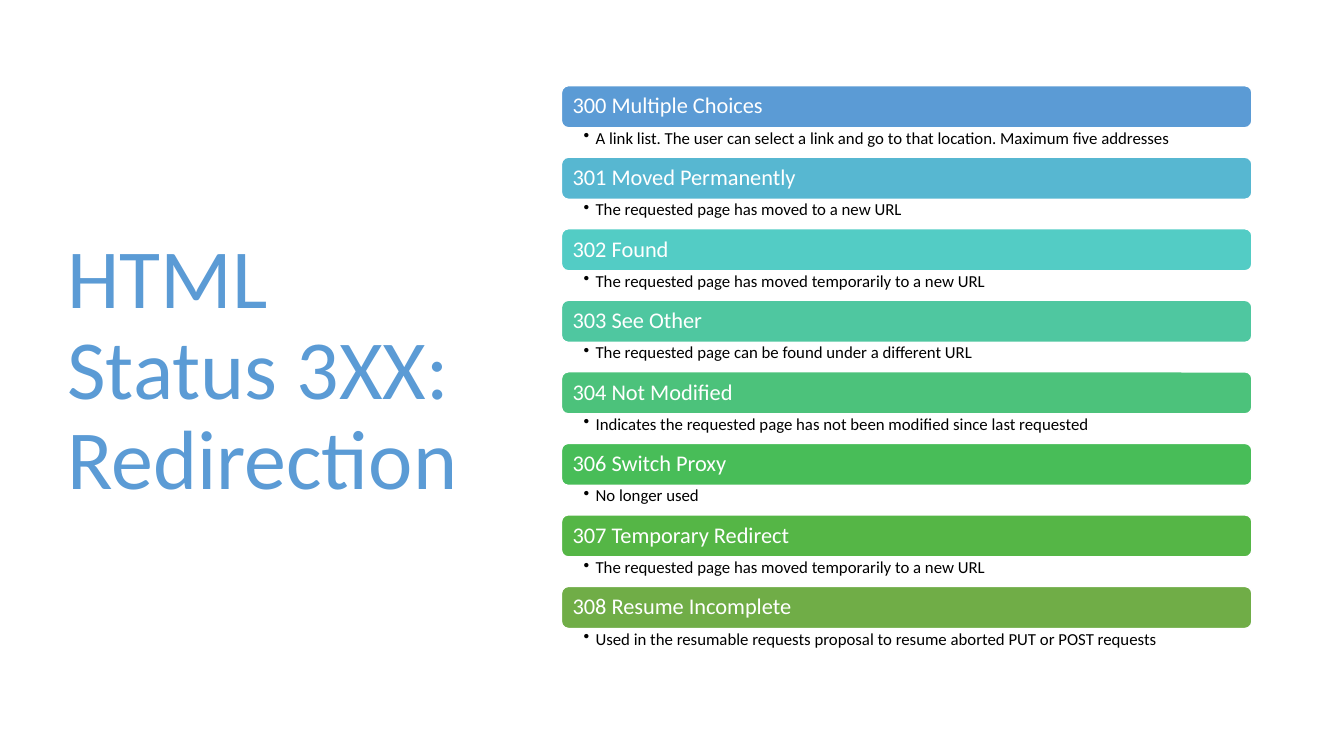
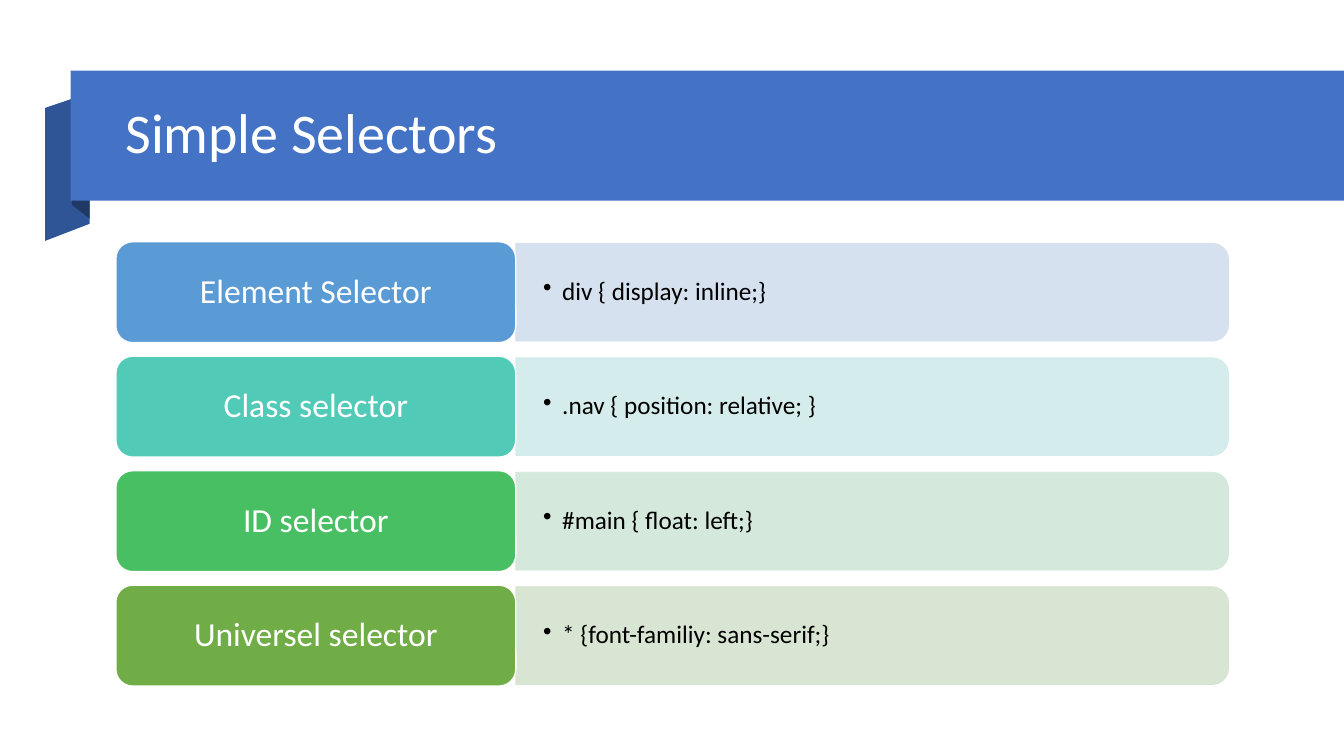
from pptx import Presentation
from pptx.dml.color import RGBColor
from pptx.enum.shapes import MSO_SHAPE
from pptx.enum.text import MSO_ANCHOR, PP_ALIGN
from pptx.oxml.ns import qn
from pptx.util import Cm, Pt
from lxml import etree

FONT = "Calibri"
WHITE = RGBColor(0xFF, 0xFF, 0xFF)
BLACK = RGBColor(0x00, 0x00, 0x00)
SKY = RGBColor(0x5B, 0x9B, 0xD5)
BLUE = RGBColor(0x44, 0x72, 0xC4)
FOLD = RGBColor(0x2F, 0x55, 0x97)
FOLD_DARK = RGBColor(0x20, 0x38, 0x64)
AQUA = RGBColor(0x57, 0xB7, 0xD1)
TURQUOISE = RGBColor(0x53, 0xCC, 0xC5)
SEA = RGBColor(0x4F, 0xC7, 0xA0)
MINT = RGBColor(0x4C, 0xC2, 0x7B)
GREEN = RGBColor(0x48, 0xBD, 0x58)
LEAF = RGBColor(0x55, 0xB6, 0x46)
OLIVE = RGBColor(0x70, 0xAD, 0x47)
TEAL = RGBColor(0x52, 0xCA, 0xB8)
EMERALD = RGBColor(0x49, 0xBF, 0x64)
PALE_BLUE = RGBColor(0xD2, 0xDE, 0xEF)
PALE_TEAL = RGBColor(0xD0, 0xEC, 0xEA)
PALE_GREEN = RGBColor(0xD0, 0xE7, 0xD8)
PALE_OLIVE = RGBColor(0xD5, 0xE3, 0xCF)

SLIDE_W, SLIDE_H = 33.87, 19.05

STATUS_CODES = [
    ("300 Multiple Choices", SKY,
     "A link list. The user can select a link and go to that location. Maximum five addresses"),
    ("301 Moved Permanently", AQUA, "The requested page has moved to a new URL"),
    ("302 Found", TURQUOISE, "The requested page has moved temporarily to a new URL"),
    ("303 See Other", SEA, "The requested page can be found under a different URL"),
    ("304 Not Modified", MINT,
     "Indicates the requested page has not been modified since last requested"),
    ("306 Switch Proxy", GREEN, "No longer used"),
    ("307 Temporary Redirect", LEAF, "The requested page has moved temporarily to a new URL"),
    ("308 Resume Incomplete", OLIVE,
     "Used in the resumable requests proposal to resume aborted PUT or POST requests"),
]
SELECTORS = [
    ("Element Selector", SKY, PALE_BLUE, "div { display: inline;}"),
    ("Class selector", TEAL, PALE_TEAL, ".nav { position: relative; }"),
    ("ID selector", EMERALD, PALE_GREEN, "#main { float: left;}"),
    ("Universel selector", OLIVE, PALE_OLIVE, "* {font-familiy: sans-serif;}"),
]


def write(sp, text, size, color=WHITE, align=PP_ALIGN.LEFT, anchor=MSO_ANCHOR.MIDDLE,
          insets=(0.25, 0.13, 0.25, 0.13), bullet=None):
    """Set the one paragraph of a shape; bullet is its hanging indent in cm."""
    tf = sp.text_frame
    tf.word_wrap = True
    tf.vertical_anchor = anchor
    tf.margin_left, tf.margin_top, tf.margin_right, tf.margin_bottom = map(Cm, insets)
    p = tf.paragraphs[0]
    p.alignment = align
    p.line_spacing = 0.9
    if bullet:
        pPr = p._p.get_or_add_pPr()
        pPr.set("marL", str(Cm(bullet)))
        pPr.set("indent", str(-Cm(bullet)))
        etree.SubElement(pPr, qn("a:buChar")).set("char", "•")
    r = p.add_run()
    r.text = text
    r.font.name, r.font.size, r.font.color.rgb = FONT, Pt(size), color


def add_text(s, x, y, w, h, text, size, **fmt):
    write(s.shapes.add_textbox(Cm(x), Cm(y), Cm(w), Cm(h)), text, size, **fmt)


def paint(sp, fill, line=None, width=1):
    sp.shadow.inherit = False
    sp.fill.solid()
    sp.fill.fore_color.rgb = fill
    if line is None:
        sp.line.fill.background()
    else:
        sp.line.color.rgb = line
        sp.line.width = Pt(width)


def add_box(s, kind, x, y, w, h, fill, line=None, width=1):
    sp = s.shapes.add_shape(kind, Cm(x), Cm(y), Cm(w), Cm(h))
    paint(sp, fill, line, width)
    return sp


def add_fold(s, x, y, points, fill):
    (x0, y0), *rest = [(Cm(x + dx), Cm(y + dy)) for dx, dy in points]
    builder = s.shapes.build_freeform(x0, y0)
    builder.add_line_segments(rest, close=True)
    paint(builder.convert_to_shape(), fill)


def add_title_ribbon(s, x, y, w, h, title):
    """Band with a folded left end and the title on it."""
    add_fold(s, x, y, [(0.48, 3.86), (-0.64, 4.29), (-0.64, 0.94), (0.48, 0.56)], FOLD)
    add_fold(s, x, y, [(0.48, 3.73), (0.03, 3.38), (0.03, 0), (0.48, 0.38)], FOLD_DARK)
    add_box(s, MSO_SHAPE.RECTANGLE, x, y, w, h, BLUE)
    add_text(s, x + 1.13, y + 0.4, w - 3.45, h - 0.84, title, 40)


def add_status_list(s, x, y, w, h, codes):
    """Heading bars, each with a bulleted line below it."""
    pitch = h / len(codes)
    bar_h = 1.06
    for i, (heading, color, note) in enumerate(codes):
        top = y + i * pitch
        bar = add_box(s, MSO_SHAPE.ROUNDED_RECTANGLE, x, top, w, bar_h, color, WHITE)
        write(bar, heading, 16, insets=(0.23, 0.18, 0.23, 0.18))
        add_text(s, x, top + bar_h, w, pitch - bar_h, note, 12, color=BLACK,
                 anchor=MSO_ANCHOR.TOP, insets=(0.56, 0.05, 0.3, 0.05), bullet=0.3)


def add_code_panel(s, x, y, w, h, fill, code):
    """Pale panel rounded on the right: a top-rounded box turned by 90 degrees."""
    panel = add_box(s, MSO_SHAPE.ROUND_2_SAME_RECTANGLE, x + (w - h) / 2, y - (w - h) / 2,
                    h, w, fill, fill, 0.5)
    panel.rotation = 90
    for clr in panel._element.spPr.iter(qn("a:srgbClr")):
        etree.SubElement(clr, qn("a:alpha")).set("val", "90000")
    add_text(s, x, y, w, h, code, 18, color=BLACK,
             insets=(0.69, 0.36, 0.69, 0.36), bullet=0.48)


def add_selector_rows(s, x, y, w, h, selectors):
    gap, label_w = 0.34, 10.08
    row_h = (h + gap) / len(selectors) - gap
    for i, (name, color, pale, code) in enumerate(selectors):
        top = y + i * (row_h + gap)
        add_code_panel(s, x + label_w, top + 0.04, w - label_w, row_h - 0.08, pale, code)
        label = add_box(s, MSO_SHAPE.ROUNDED_RECTANGLE, x, top, label_w, row_h, color, WHITE)
        write(label, name, 24, align=PP_ALIGN.CENTER)


def build_status_slide(s):
    add_text(s, 1.45, 1.73, 10.57, 15.29, "HTML Status 3XX: Redirection", 60, color=SKY)
    add_status_list(s, 14.15, 2.16, 17.4, 14.42, STATUS_CODES)


def build_selector_slide(s):
    add_title_ribbon(s, 1.78, 1.78, SLIDE_W - 1.78, 3.28, "Simple Selectors")
    add_selector_rows(s, 2.92, 6.09, 28.04, 11.2, SELECTORS)


def main():
    prs = Presentation()
    prs.slide_width, prs.slide_height = Cm(SLIDE_W), Cm(SLIDE_H)
    for build in (build_status_slide, build_selector_slide):
        build(prs.slides.add_slide(prs.slide_layouts[6]))
    prs.save("out.pptx")


if __name__ == "__main__":
    main()
